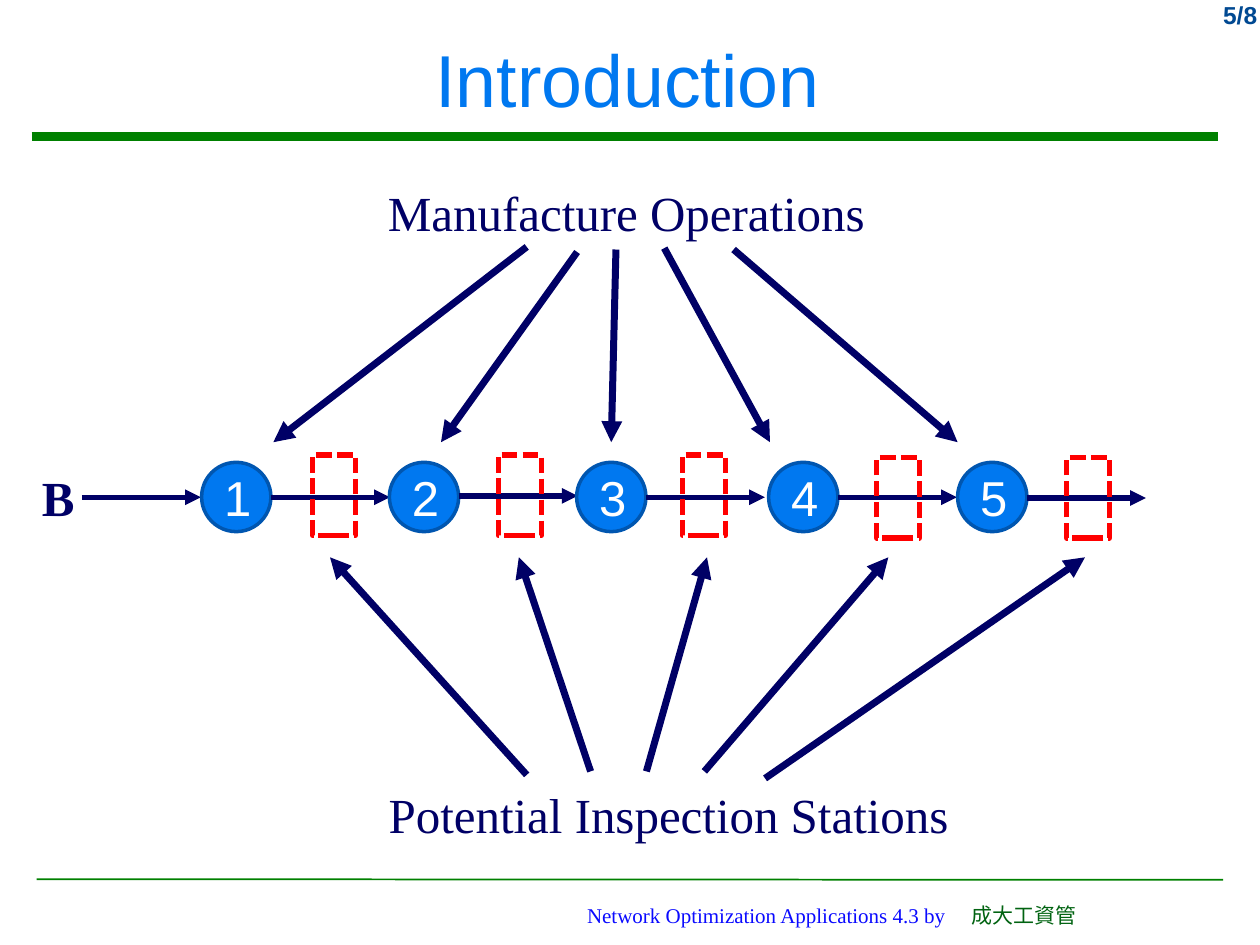
from typing import NamedTuple

from lxml import etree
from pptx import Presentation
from pptx.dml.color import RGBColor
from pptx.enum.dml import MSO_LINE
from pptx.enum.shapes import MSO_CONNECTOR, MSO_SHAPE
from pptx.enum.text import MSO_ANCHOR, PP_ALIGN
from pptx.oxml.ns import qn
from pptx.util import Pt

STRAIGHT = MSO_CONNECTOR.STRAIGHT
OVAL, RECTANGLE = MSO_SHAPE.OVAL, MSO_SHAPE.RECTANGLE
DASHED = MSO_LINE.SQUARE_DOT
TOP, MIDDLE = MSO_ANCHOR.TOP, MSO_ANCHOR.MIDDLE
LEFT, CENTER, RIGHT = PP_ALIGN.LEFT, PP_ALIGN.CENTER, PP_ALIGN.RIGHT

NAVY, GREEN, BLUE = "000066", "008000", "0078F0"
SANS, SERIF = "Arial", "Times New Roman"

CIRCLE_SIZE = 39.6
CIRCLE_TOP = 264.2
FLOW_Y = 284.2
FLOW_LENGTH = 68
STATION_WIDTH, STATION_HEIGHT = 24.5, 46
OPERATION_TIP_Y = 252.7
STATION_TIP_Y = 318.5


class Label(NamedTuple):
    text: str
    left: float
    top: float
    width: float
    height: float
    size: float
    font: str
    color: str
    bold: bool = False
    align: PP_ALIGN = LEFT
    anchor: MSO_ANCHOR = TOP


class Step(NamedTuple):
    """One operation, the station after it, and the arrows pointing at both."""
    circle_left: float
    station_left: float
    station_top: float
    flow_y: float
    operation_start: tuple[float, float]
    operation_tip_x: float
    station_start: tuple[float, float]
    station_tip_x: float


LABELS = [
    Label("5/8", 660, -3.6, 65.5, 41, 14, SANS, "004992", True, RIGHT),
    Label("Introduction", 5.8, 6.2, 705.6, 76.3, 42, SANS, BLUE,
          align=CENTER, anchor=MIDDLE),
    Label("Manufacture Operations", 214.6, 100.8, 300, 41, 28, SERIF, NAVY),
    Label("Potential Inspection Stations", 215, 445, 350, 41, 28, SERIF, NAVY),
    Label("B", 16.8, 263.5, 40, 41, 28, SERIF, NAVY, True),
]

STEPS = [
    Step(115.2, 178.6, 260, FLOW_Y, (301, 141.1), 156.2, (301, 442.8), 188.6),
    Step(222.5, 284.8, 260, 283.4, (329.8, 144), 252, (337.5, 440.8), 296.5),
    Step(329.5, 390, 260, FLOW_Y, (352, 142.6), 349.3, (369.4, 440.8), 404),
    Step(439.2, 501, 261.5, FLOW_Y, (379.6, 141.8), 440, (402.5, 440.8), 507.6),
    Step(547.2, 609.5, 261.5, 284.6, (419.2, 142.6), 547.2, (437.2, 444.8), 620),
]


def rgb(color: str) -> RGBColor:
    return RGBColor.from_string(color)


def add_line(shapes, start: tuple[float, float], end: tuple[float, float],
             color: str, width: float, arrow: bool = True) -> None:
    connector = shapes.add_connector(STRAIGHT, *map(Pt, start + end))
    connector.line.color.rgb = rgb(color)
    connector.line.width = Pt(width)
    if arrow:
        etree.SubElement(connector.line._get_or_add_ln(), qn("a:tailEnd"), type="triangle")
    etree.SubElement(connector._element.spPr, qn("a:effectLst"))


def style_font(font, name: str, size: float, color: str, bold: bool = False) -> None:
    font.name, font.size, font.bold = name, Pt(size), bold
    font.color.rgb = rgb(color)


def add_label(shapes, label: Label) -> None:
    frame = shapes.add_textbox(*map(Pt, label[1:5])).text_frame
    frame.word_wrap = True
    frame.vertical_anchor = label.anchor
    frame.text = label.text
    paragraph = frame.paragraphs[0]
    paragraph.alignment = label.align
    style_font(paragraph.runs[0].font, label.font, label.size, label.color, label.bold)


def add_operation(shapes, number: int, left: float) -> None:
    circle = shapes.add_shape(OVAL, *map(Pt, (left, CIRCLE_TOP, CIRCLE_SIZE, CIRCLE_SIZE)))
    circle.shadow.inherit = False
    circle.fill.solid()
    circle.fill.fore_color.rgb = rgb(BLUE)
    circle.line.color.rgb = rgb("0056B0")
    circle.line.width = Pt(2)
    frame = circle.text_frame
    frame.vertical_anchor = MIDDLE
    frame.text = str(number)
    frame.paragraphs[0].alignment = CENTER
    style_font(frame.paragraphs[0].runs[0].font, SANS, 28, "FFFFFF")


def add_station(shapes, left: float, top: float) -> None:
    station = shapes.add_shape(RECTANGLE, *map(Pt, (left, top, STATION_WIDTH, STATION_HEIGHT)))
    station.shadow.inherit = False
    station.fill.background()
    station.line.color.rgb = rgb("FF0000")
    station.line.width = Pt(3)
    station.line.dash_style = DASHED


def add_footer(shapes) -> None:
    """Course name, then the department at a tab stop."""
    frame = shapes.add_textbox(Pt(247), Pt(508.3), Pt(460), Pt(28.8)).text_frame
    frame.word_wrap = True
    frame.vertical_anchor = MIDDLE
    frame.margin_left = Pt(88.5)
    paragraph = frame.paragraphs[0]
    tabs = etree.SubElement(paragraph._p.get_or_add_pPr(), qn("a:tabLst"))
    etree.SubElement(tabs, qn("a:tab"), pos=str(Pt(219.5)), algn="l")
    for text, color in (("Network Optimization Applications 4.3 by\t", "0A0AFF"),
                        ("成大工資管", "016311")):
        run = paragraph.add_run()
        run.text = text
        style_font(run.font, SERIF, 12, color)


def main() -> None:
    presentation = Presentation()
    presentation.slide_width, presentation.slide_height = Pt(720), Pt(540)
    shapes = presentation.slides.add_slide(presentation.slide_layouts[6]).shapes

    add_line(shapes, (18, 77.8), (696.2, 77.8), GREEN, 5.25, arrow=False)
    add_line(shapes, (21, 502.4), (699, 502.8), GREEN, 1, arrow=False)
    for label in LABELS:
        add_label(shapes, label)

    add_line(shapes, (46.8, FLOW_Y), (46.8 + FLOW_LENGTH, FLOW_Y), NAVY, 3)
    for number, step in enumerate(STEPS, start=1):
        add_operation(shapes, number, step.circle_left)
        flow_start = step.circle_left + CIRCLE_SIZE
        add_line(shapes, (flow_start, step.flow_y),
                 (flow_start + FLOW_LENGTH, step.flow_y), NAVY, 3)
        add_station(shapes, step.station_left, step.station_top)
        add_line(shapes, step.operation_start,
                 (step.operation_tip_x, OPERATION_TIP_Y), NAVY, 4)
        add_line(shapes, step.station_start,
                 (step.station_tip_x, STATION_TIP_Y), NAVY, 4)

    add_footer(shapes)
    presentation.save("out.pptx")


if __name__ == "__main__":
    main()
